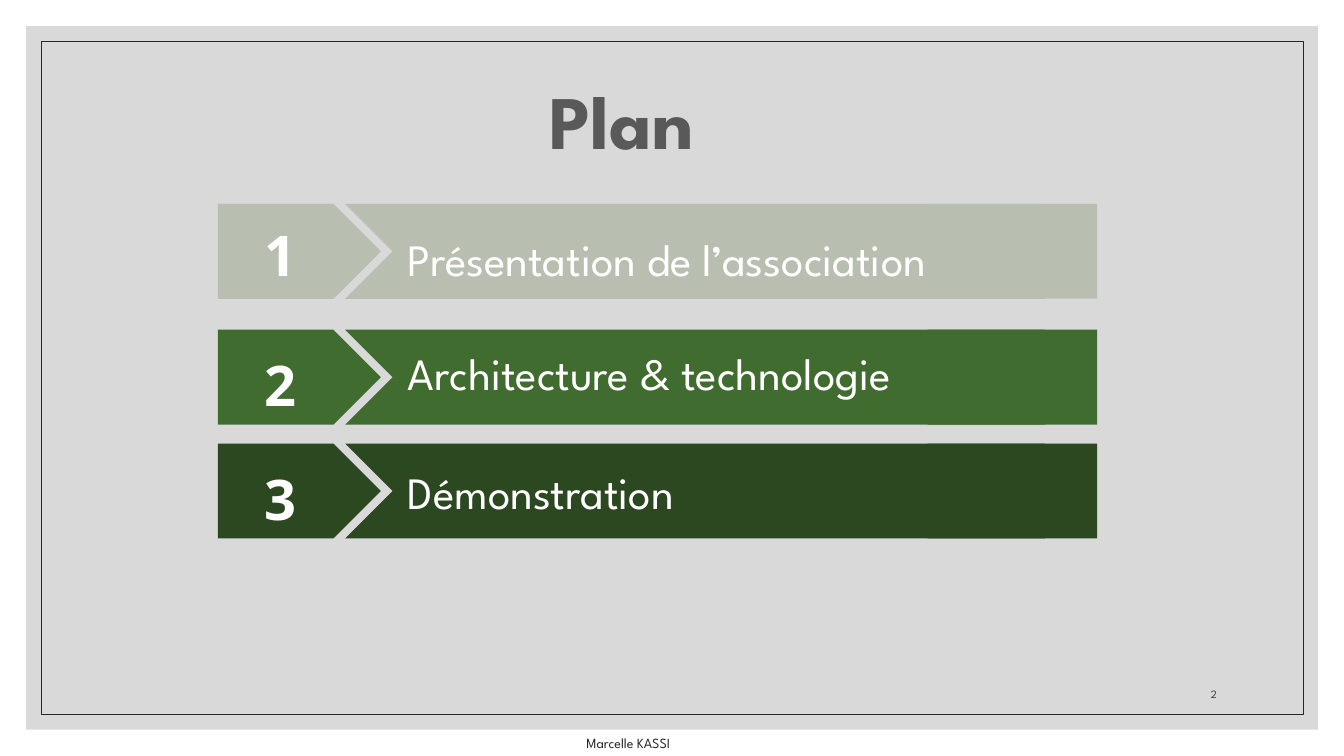
from dataclasses import dataclass

from pptx import Presentation
from pptx.dml.color import RGBColor
from pptx.enum.shapes import MSO_SHAPE
from pptx.enum.text import MSO_ANCHOR, PP_ALIGN
from pptx.util import Cm, Pt

RECT, PLATE, CHEVRON = MSO_SHAPE.RECTANGLE, MSO_SHAPE.PENTAGON, MSO_SHAPE.CHEVRON
TOP, BOTTOM = MSO_ANCHOR.TOP, MSO_ANCHOR.BOTTOM
LEFT, CENTER, RIGHT = PP_ALIGN.LEFT, PP_ALIGN.CENTER, PP_ALIGN.RIGHT


@dataclass(frozen=True)
class Theme:
    panel: str = "D9D9D9"
    ink: str = "262626"
    muted: str = "404040"
    heading: str = "595959"
    white: str = "FFFFFF"
    steps: tuple = ("B8BFB1", "416C2F", "2C4820")
    body_font: str = "League Spartan"
    number_font: str = "Open Sans"
    title_size: int = 54
    number_size: int = 40
    label_size: int = 32
    footer_size: int = 10
    page_size: int = 8


class Deck:
    def __init__(self, prs, theme):
        self.theme = theme
        self.s = prs.slides.add_slide(prs.slide_layouts[6])

    def shape(self, kind, box, fill=None, line=None):
        sp = self.s.shapes.add_shape(kind, *map(Cm, box))
        sp.shadow.inherit = False
        if fill:
            sp.fill.solid()
            sp.fill.fore_color.rgb = RGBColor.from_string(fill)
        else:
            sp.fill.background()
        if line:
            sp.line.color.rgb = RGBColor.from_string(line)
            sp.line.width = Pt(0.5)
        else:
            sp.line.fill.background()

    def text(self, text, box, size, color, font=None, bold=False, align=LEFT, anchor=TOP):
        tf = self.s.shapes.add_textbox(*map(Cm, box)).text_frame
        tf.word_wrap = True
        tf.vertical_anchor = anchor
        p = tf.paragraphs[0]
        p.alignment = align
        r = p.add_run()
        r.text = text
        fmt = {"name": font or self.theme.body_font, "size": Pt(size), "bold": bold}
        for key, value in fmt.items():
            setattr(r.font, key, value)
        r.font.color.rgb = RGBColor.from_string(color)

    def step(self, number, label, color, top, number_top, label_top):
        t = self.theme
        for kind, left, width in ((PLATE, 5.49, 4.11), (CHEVRON, 8.7, 18.82), (RECT, 23.38, 4.27)):
            self.shape(kind, (left, top, width, 2.39), color)
        self.text(str(number), (5.65, number_top, 2.82, 1.96), t.number_size, t.white,
                  font=t.number_font, bold=True, align=CENTER)
        self.text(label, (10.03, label_top, 16.94, 1.63), t.label_size, t.white)


theme = Theme()
prs = Presentation()
prs.slide_width, prs.slide_height = Cm(33.87), Cm(19.05)
deck = Deck(prs, theme)

deck.shape(RECT, (0.66, 0.66, 32.56, 17.73), fill=theme.panel)
deck.shape(RECT, (1.04, 1.04, 31.8, 16.97), line=theme.ink)
deck.text("Plan", (13.59, 1.75, 8.48, 2.57), theme.title_size, theme.heading, bold=True)

steps = (
    ("Présentation de l’association", 5.14, 5.44, 5.72),
    ("Architecture & technologie", 8.31, 8.71, 8.59),
    ("Démonstration", 11.18, 11.58, 11.58),
)
for number, ((label, *tops), color) in enumerate(zip(steps, theme.steps), 1):
    deck.step(number, label, color, *tops)

deck.text("2", (28.58, 16.76, 2.34, 1.02), theme.page_size, theme.muted, align=RIGHT, anchor=BOTTOM)
deck.text("Marcelle KASSI", (14.53, 18.03, 16.15, 1.02), theme.footer_size, theme.ink, anchor=BOTTOM)

prs.save("out.pptx")
